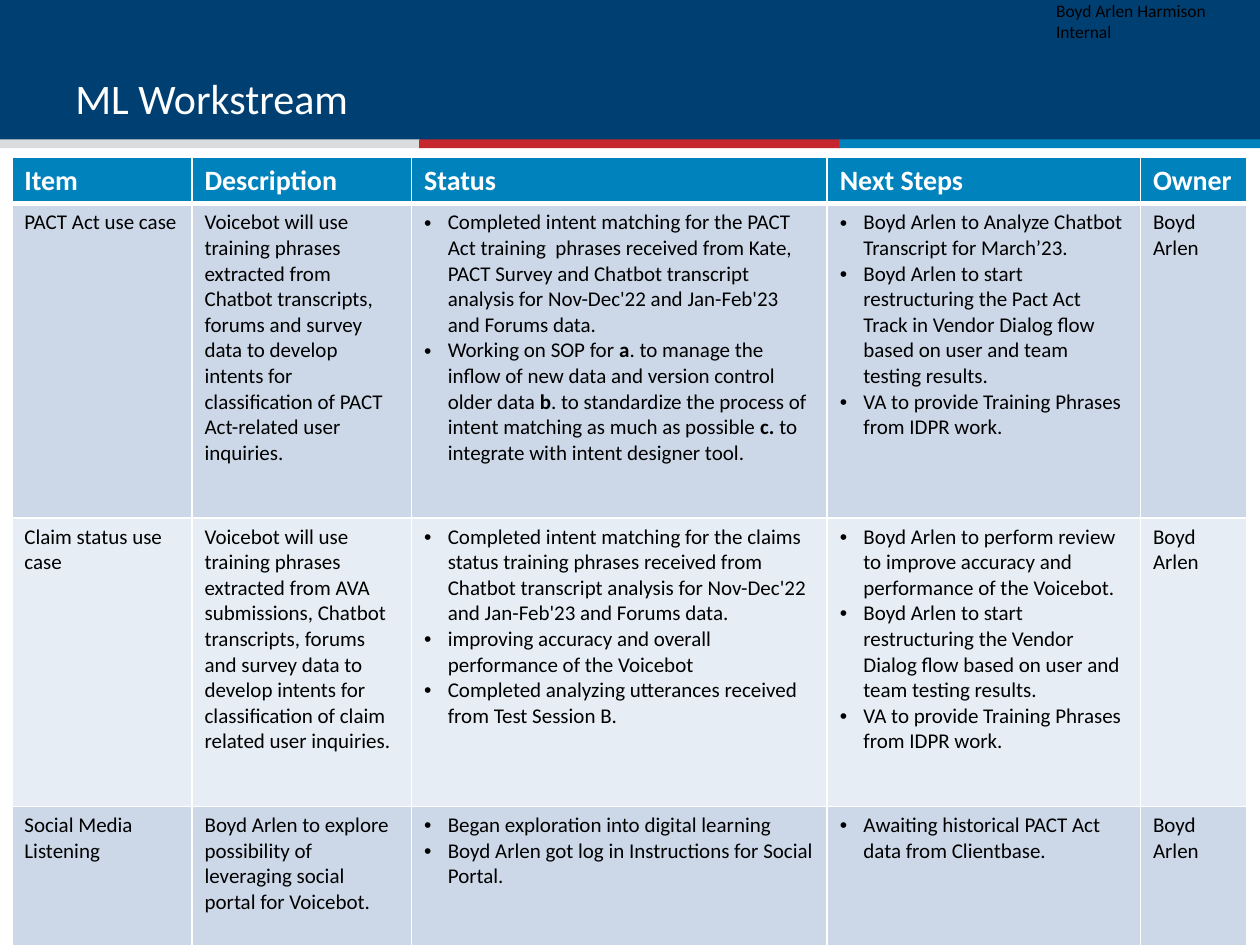
from lxml import etree
from pptx import Presentation
from pptx.dml.color import RGBColor
from pptx.enum.shapes import MSO_SHAPE
from pptx.enum.text import MSO_ANCHOR
from pptx.oxml.ns import qn
from pptx.util import Pt

RECT = MSO_SHAPE.RECTANGLE
BOTTOM = MSO_ANCHOR.BOTTOM
COLORS = {"navy": "003F72", "gray": "DBDCDE", "red": "C6262D", "blue": "0082BD",
          "white": "FFFFFF", "black": "000000", "band": "CCD8E8", "light": "E7EDF4"}
HEADER = {"size": Pt(16), "bold": True}
BODY = {"size": Pt(12), "bold": False}
BULLET_COLUMNS = (2, 3)

COLUMN_WIDTHS = [103, 125.5, 237.5, 179, 61]
ROW_HEIGHTS = [26, 179.5, 165, 80]
# Each cell is a list of paragraphs; text between ** marks is bold.
ROWS = [
    [["Item"], ["Description"], ["Status"], ["Next Steps"], ["Owner"]],
    [["PACT Act use case"],
     ["Voicebot will use training phrases extracted from Chatbot transcripts, forums and "
      "survey data to develop intents for classification of PACT Act-related user inquiries."],
     ["Completed intent matching for the PACT Act training  phrases received from Kate, PACT "
      "Survey and Chatbot transcript analysis for Nov-Dec'22 and Jan-Feb'23 and Forums data.",
      "Working on SOP for **a**. to manage the inflow of new data and version control older "
      "data **b**. to standardize the process of intent matching as much as possible **c. **to "
      "integrate with intent designer tool."],
     ["Boyd Arlen to Analyze Chatbot Transcript for March’23.",
      "Boyd Arlen to start restructuring the Pact Act Track in Vendor Dialog flow based on "
      "user and team testing results.",
      "VA to provide Training Phrases from IDPR work."],
     ["Boyd", "Arlen"]],
    [["Claim status use case"],
     ["Voicebot will use training phrases extracted from AVA submissions, Chatbot "
      "transcripts, forums and survey data to develop intents for classification of "
      "claim related user inquiries."],
     ["Completed intent matching for the claims status training phrases received "
      "from Chatbot transcript analysis for Nov-Dec'22 and Jan-Feb'23 and Forums data.",
      "improving accuracy and overall performance of the Voicebot",
      "Completed analyzing utterances received from Test Session B."],
     ["Boyd Arlen to perform review to improve accuracy and performance of the Voicebot.",
      "Boyd Arlen to start restructuring the Vendor Dialog flow based on user and team "
      "testing results.",
      "VA to provide Training Phrases from IDPR work."],
     ["Boyd Arlen"]],
    [["Social Media Listening"],
     ["Boyd Arlen to explore possibility of leveraging social portal for Voicebot."],
     ["Began exploration into digital learning",
      "Boyd Arlen got log in Instructions for Social Portal."],
     ["Awaiting historical PACT Act data from Clientbase."],
     ["Boyd", "Arlen"]],
]


def rgb(color):
    return RGBColor.from_string(COLORS[color])


class SlideBuilder:
    def __init__(self, slide, font="Calibri"):
        self.slide = slide
        self.font = font

    def rect(self, x, y, w, h, color):
        s = self.slide.shapes.add_shape(RECT, Pt(x), Pt(y), Pt(w), Pt(h))
        s.shadow.inherit = False
        s.fill.solid()
        s.fill.fore_color.rgb = rgb(color)
        s.line.fill.background()

    def add_runs(self, p, text, color, style):
        for i, part in enumerate(text.split("**")):
            r = p.add_run()
            r.text = part
            for name, value in {"name": self.font, **style}.items():
                setattr(r.font, name, value)
            if i % 2:
                r.font.bold = True
            r.font.color.rgb = rgb(color)

    def text(self, x, y, w, h, text, color, size, **frame):
        tf = self.slide.shapes.add_textbox(Pt(x), Pt(y), Pt(w), Pt(h)).text_frame
        for name, value in frame.items():
            setattr(tf, name, value)
        self.add_runs(tf.paragraphs[0], text, color, {"size": Pt(size)})

    def bullet(self, p):
        pPr = p._p.get_or_add_pPr()
        pPr.set("marL", str(Pt(13.5)))
        pPr.set("indent", str(-Pt(13.5)))
        etree.SubElement(pPr, qn("a:buFont")).set("typeface", "Arial")
        etree.SubElement(pPr, qn("a:buChar")).set("char", "•")

    def borders(self, cell, top, bottom):
        """Draw white cell borders; call before the fill, which must follow them."""
        tcPr = cell._tc.get_or_add_tcPr()
        for side, width in {"L": 1, "R": 1, "T": top, "B": bottom}.items():
            ln = etree.SubElement(tcPr, qn(f"a:ln{side}"), w=str(Pt(width)))
            fill = etree.SubElement(ln, qn("a:solidFill"))
            etree.SubElement(fill, qn("a:srgbClr"), val=COLORS["white"])

    def cell(self, cell, row, col, paragraphs):
        self.borders(cell, 3 if row == 1 else 1, 3 if row == 0 else 1)
        fill = "blue" if row == 0 else ("light", "band")[row % 2]
        cell.fill.solid()
        cell.fill.fore_color.rgb = rgb(fill)
        color, style = ("white", HEADER) if row == 0 else ("black", BODY)
        tf = cell.text_frame
        for i, text in enumerate(paragraphs):
            p = tf.add_paragraph() if i else tf.paragraphs[0]
            if row and col in BULLET_COLUMNS:
                self.bullet(p)
            self.add_runs(p, text, color, style)

    def table(self, x, y, widths, heights, rows):
        table = self.slide.shapes.add_table(len(rows), len(widths), Pt(x), Pt(y),
                                            Pt(sum(widths)), Pt(sum(heights))).table
        table.horz_banding = False
        for column, width in zip(table.columns, widths):
            column.width = Pt(width)
        for row, height in zip(table.rows, heights):
            row.height = Pt(height)
        for i, row in enumerate(rows):
            for j, paragraphs in enumerate(row):
                self.cell(table.cell(i, j), i, j, paragraphs)


def main():
    prs = Presentation()
    prs.slide_width, prs.slide_height = Pt(720), Pt(540)
    b = SlideBuilder(prs.slides.add_slide(prs.slide_layouts[6]))
    b.rect(-0.5, 0, 720.5, 82, "navy")
    for i, color in enumerate(("gray", "red", "blue")):
        b.rect(240 * i - 0.5, 79.75, 240.5, 5, color)
    b.text(603.5, 0, 118.5, 12.25, "Boyd Arlen Harmison Internal", "black", 10,
           margin_left=0, margin_top=0, margin_right=0, margin_bottom=0, word_wrap=False)
    b.text(36, 10, 648, 64, "ML Workstream", "white", 24,
           word_wrap=True, vertical_anchor=BOTTOM)
    b.table(6.75, 90, COLUMN_WIDTHS, ROW_HEIGHTS, ROWS)
    prs.save("out.pptx")


if __name__ == "__main__":
    main()
